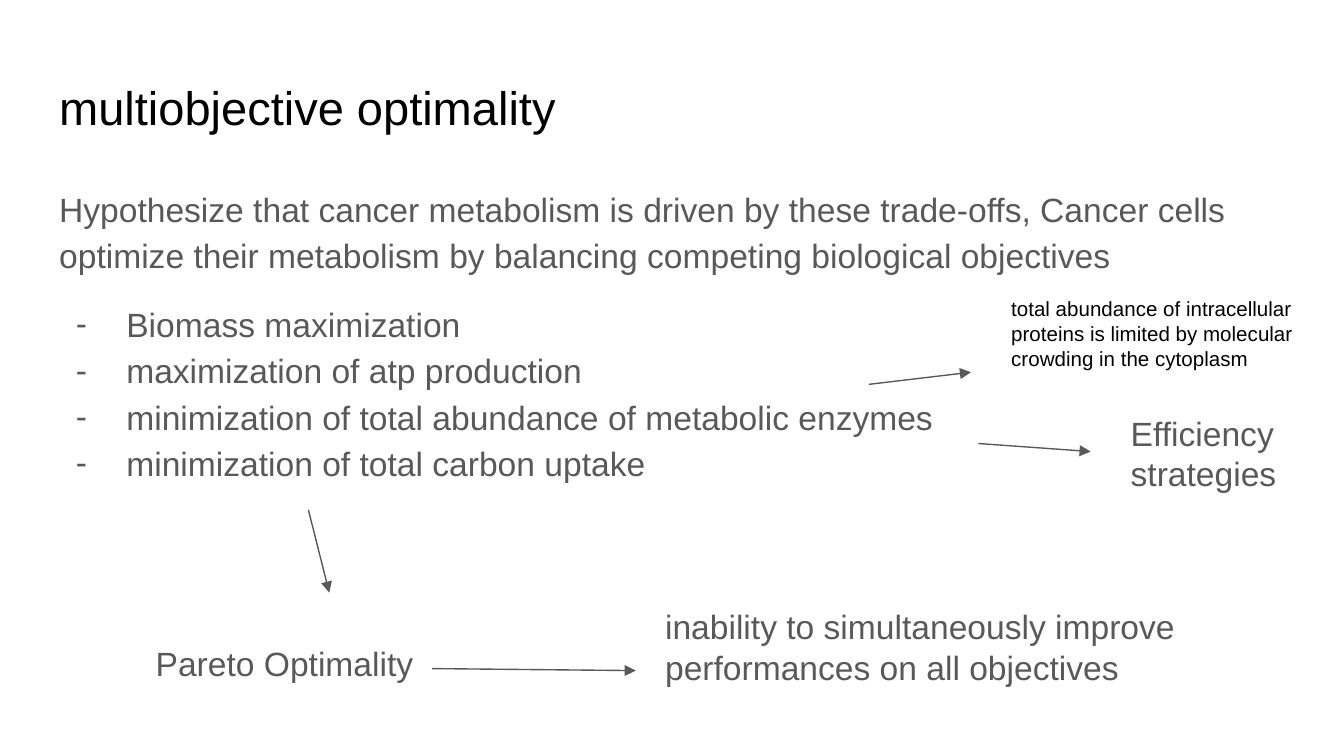
from lxml.etree import SubElement
from pptx import Presentation
from pptx.dml.color import RGBColor
from pptx.enum.shapes import MSO_CONNECTOR
from pptx.enum.text import MSO_ANCHOR, MSO_AUTO_SIZE, PP_ALIGN
from pptx.oxml.ns import qn
from pptx.util import Pt

# Content
TITLE = "multiobjective optimality"
LEAD = ("Hypothesize that cancer metabolism is driven by these trade-offs, "
        "Cancer cells optimize their metabolism by balancing competing "
        "biological objectives")
GOALS = [
    "Biomass maximization",
    "maximization of atp production",
    "minimization of total abundance of metabolic enzymes",
    "minimization of total carbon uptake",
]
BLACK, GREY = "000000", "595959"
NOTES = [  # text, box, size, colour
    ("Efficiency strategies", (1663, 594, 280, 62), 18, GREY),
    ("total abundance of intracellular proteins is limited by molecular "
     "crowding in the cytoplasm", (1485, 421, 510, 152), 11, BLACK),
    ("Pareto Optimality", (212, 937, 736, 124), 18, GREY),
    ("inability to simultaneously improve performances on all objectives",
     (970, 882, 944, 102), 18, GREY),
]
ARROWS = [  # from x, y, to x, y
    (1456, 660, 1623, 672),
    (1293, 572, 1445, 554),
    (459, 759, 490, 882),
    (643, 995, 946, 998),
]

SCALE = 4572  # EMU in one px, 200 px to the inch


def px(n):
    return n * SCALE


def tint(code):
    return RGBColor.from_string(code)


def place(shape, box):
    shape.left, shape.top, shape.width, shape.height = map(px, box)
    frame = shape.text_frame
    frame.word_wrap = True
    frame.auto_size = MSO_AUTO_SIZE.NONE
    frame.vertical_anchor = MSO_ANCHOR.TOP
    frame.margin_left = frame.margin_right = px(20)
    frame.margin_top = frame.margin_bottom = px(20)
    return frame


def write(para, text, size=18, color=GREY, lines=1.0, before=0, dash=False):
    para.alignment = PP_ALIGN.LEFT
    para.line_spacing = lines
    para.space_before = Pt(before)
    para.space_after = Pt(0)
    run = para.add_run()
    run.text = text
    run.font.name = "Arial"
    run.font.size = Pt(size)
    run.font.color.rgb = tint(color)
    # Bullet and hanging indent
    props = para._p.get_or_add_pPr()
    props.set("marL", str(px(100) if dash else 0))
    props.set("indent", str(px(-75) if dash else 0))
    if dash:
        hue = SubElement(props, qn("a:buClr"))
        SubElement(hue, qn("a:srgbClr"), val=color)
        SubElement(props, qn("a:buFont"), typeface="Arial")
        SubElement(props, qn("a:buChar"), char="-")
    else:
        SubElement(props, qn("a:buNone"))


def arrow(slide, ends):
    line = slide.shapes.add_connector(MSO_CONNECTOR.STRAIGHT, *map(px, ends))
    line.line.color.rgb = tint(GREY)
    line.line.width = Pt(0.75)
    SubElement(line.line._get_or_add_ln(), qn("a:tailEnd"), type="triangle")
    SubElement(line._element.spPr, qn("a:effectLst"))


def main():
    deck = Presentation()
    deck.slide_width, deck.slide_height = px(2000), px(1125)
    slide = deck.slides.add_slide(deck.slide_layouts[1])

    # Title
    frame = place(slide.shapes.title, (68, 97, 1864, 126))
    write(frame.paragraphs[0], TITLE, size=25.2, color=BLACK)

    # Hypothesis and list of objectives
    frame = place(slide.placeholders[1], (68, 252, 1864, 748))
    write(frame.paragraphs[0], LEAD, lines=1.15)
    for i, goal in enumerate(GOALS):
        write(frame.add_paragraph(), goal, lines=1.15,
              before=0 if i else 12, dash=True)

    # Side notes
    for text, box, size, color in NOTES:
        frame = place(slide.shapes.add_textbox(*map(px, box)), box)
        write(frame.paragraphs[0], text, size=size, color=color)

    # Arrows
    for ends in ARROWS:
        arrow(slide, ends)

    deck.save("out.pptx")


if __name__ == "__main__":
    main()
